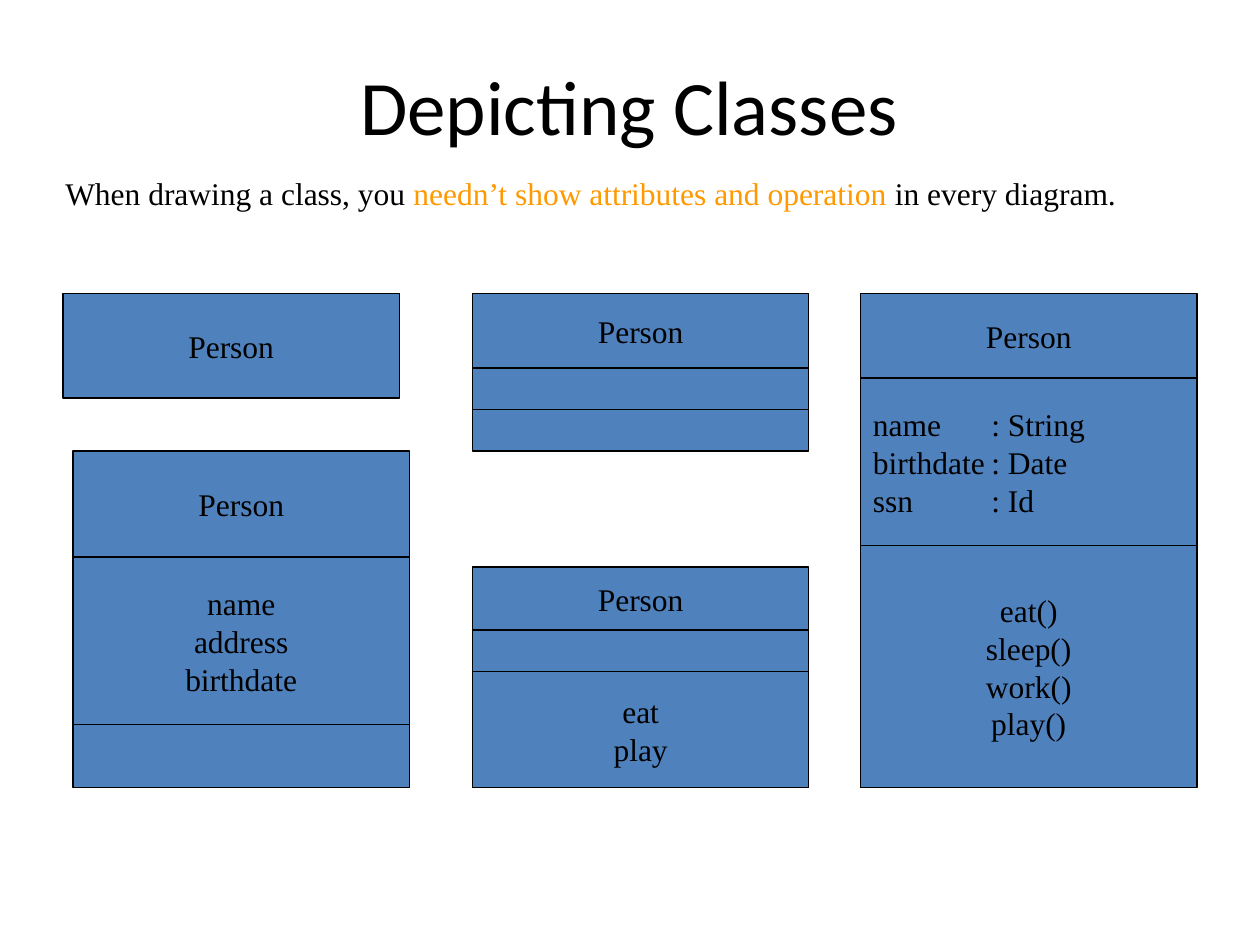
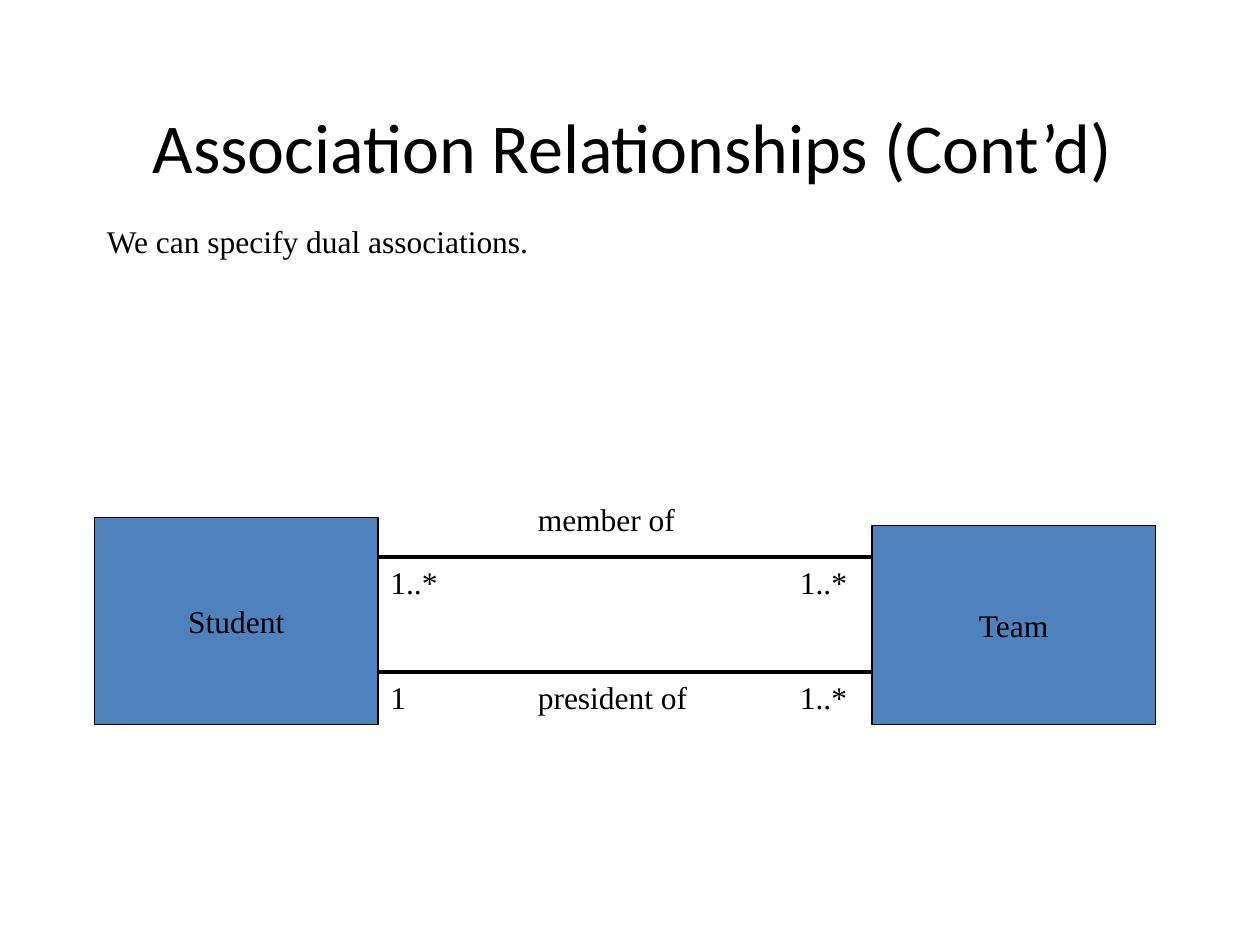
import pptx
import pptx.util
import pptx.dml.color
import pptx.enum.shapes
import pptx.enum.text
import lxml.etree

Inches, Pt = pptx.util.Inches, pptx.util.Pt
ALIGN = pptx.enum.text.PP_ALIGN
ANCHOR = pptx.enum.text.MSO_ANCHOR
RECTANGLE = pptx.enum.shapes.MSO_SHAPE.RECTANGLE
STRAIGHT = pptx.enum.shapes.MSO_CONNECTOR.STRAIGHT

BLACK, BLUE, ORANGE = "000000", "4F81BD", "FF9900"
TITLE_FONT, TEXT_FONT = "Calibri", "Times New Roman"
TEXT_SIZE = 18
CLASS_WIDTH = 2.67
TYPE_TAB = 0.94


def rgb(value):
    return pptx.dml.color.RGBColor.from_string(value)


def format_font(font, name=TEXT_FONT, size=TEXT_SIZE, color=BLACK):
    font.name, font.size = name, Pt(size)
    font.color.rgb = rgb(color)


def add_tab_stop(para, position):
    properties = para._p.get_or_add_pPr()
    tabs = lxml.etree.SubElement(properties, pptx.oxml.ns.qn("a:tabLst"))
    lxml.etree.SubElement(tabs, pptx.oxml.ns.qn("a:tab"),
                          pos=str(Inches(position)), algn="l")


def add_titled_page(deck, title, box, size):
    page = deck.slides.add_slide(deck.slide_layouts[5])
    holder = page.shapes.title
    holder.left, holder.top, holder.width, holder.height = map(Inches, box)
    frame = holder.text_frame
    frame.text = title
    frame.vertical_anchor = ANCHOR.MIDDLE
    frame.auto_size = pptx.enum.text.MSO_AUTO_SIZE.NONE
    frame.paragraphs[0].alignment = ALIGN.CENTER
    format_font(frame.paragraphs[0].runs[0].font, TITLE_FONT, size)
    return page


def add_text(page, left, top, width, *parts):
    """Add one line of text from (text, color) parts."""
    box = page.shapes.add_textbox(*map(Inches, (left, top, width, 0.4)))
    box.text_frame.word_wrap = True
    for text, color in parts:
        span = box.text_frame.paragraphs[0].add_run()
        span.text = text
        format_font(span.font, color=color)


def add_rectangle(shapes, left, top, width, height, text=""):
    """Add a blue box; lines that hold a tab are set flush left in columns."""
    shape = shapes.add_shape(RECTANGLE, *map(Inches, (left, top, width, height)))
    shape.shadow.inherit = False
    shape.fill.solid()
    shape.fill.fore_color.rgb = rgb(BLUE)
    shape.line.color.rgb = rgb(BLACK)
    shape.line.width = Pt(0.75)
    if not text:
        return
    frame = shape.text_frame
    frame.text = text
    frame.vertical_anchor = ANCHOR.MIDDLE
    for para in frame.paragraphs:
        para.alignment = ALIGN.CENTER
        if "\t" in para.text:
            para.alignment = ALIGN.LEFT
            add_tab_stop(para, TYPE_TAB)
        for span in para.runs:
            format_font(span.font)


def add_class(page, left, top, *compartments):
    """Stack (height, text) compartments downwards from the top."""
    shapes = page.shapes
    if len(compartments) > 1:
        shapes = shapes.add_group_shape().shapes
    for height, text in compartments:
        add_rectangle(shapes, left, top, CLASS_WIDTH, height, text)
        top += height


def add_association(page, left, right, top, name, name_offset, start, end):
    """Draw a line with its name and the multiplicity below each end."""
    line = page.shapes.add_connector(
        STRAIGHT, *map(Inches, (left, top, right, top)))
    line.line.color.rgb = rgb(BLACK)
    line.line.width = Pt(2.25)
    lxml.etree.SubElement(line._element.spPr, pptx.oxml.ns.qn("a:effectLst"))
    add_text(page, left + 1.17, top + name_offset, 1.92, (name, BLACK))
    add_text(page, left, top, 0.75, (start, BLACK))
    add_text(page, right - 0.67, top, 0.75, (end, BLACK))


def build_classes_page(deck):
    page = add_titled_page(deck, "Depicting Classes", (0.73, 0.33, 8.53, 1), 44)
    add_text(page, 0.42, 1.33, 9.13,
             ("When drawing a class, you ", BLACK),
             ("needn’t show attributes and operation ", ORANGE),
             ("in every diagram.", BLACK))
    add_class(page, 0.5, 2.33, (0.83, "Person"))
    add_class(page, 0.58, 3.58, (0.84, "Person"),
              (1.33, "name\naddress\nbirthdate"), (0.5, ""))
    add_class(page, 3.75, 2.33, (0.59, "Person"), (0.33, ""), (0.33, ""))
    add_class(page, 3.75, 4.5, (0.5, "Person"), (0.33, ""), (0.92, "eat\nplay"))
    add_class(page, 6.83, 2.33, (0.67, "Person"),
              (1.33, "name\t: String\nbirthdate\t: Date\nssn\t: Id"),
              (1.92, "eat()\nsleep()\nwork()\nplay()"))


def build_associations_page(deck):
    page = add_titled_page(deck, "Association Relationships (Cont’d)",
                           (0.83, 0.92, 8.38, 0.47), 40)
    add_text(page, 0.75, 1.71, 8.58, ("We can specify dual associations.", BLACK))
    student_right, team_left, width, bottom = 3, 6.92, 2.25, 5.75
    add_association(page, student_right, team_left, 4.42,
                    "member of", -0.5, "1..*", "1..*")
    add_association(page, student_right, team_left, 5.33,
                    "president of", 0, "1", "1..*")
    for left, height, name in ((student_right - width, 1.64, "Student"),
                               (team_left, 1.58, "Team")):
        add_rectangle(page.shapes, left, bottom - height, width, height, name)


def main():
    deck = pptx.Presentation()
    deck.slide_width, deck.slide_height = Inches(10), Inches(7.5)
    build_classes_page(deck)
    build_associations_page(deck)
    deck.save("out.pptx")


if __name__ == "__main__":
    main()
